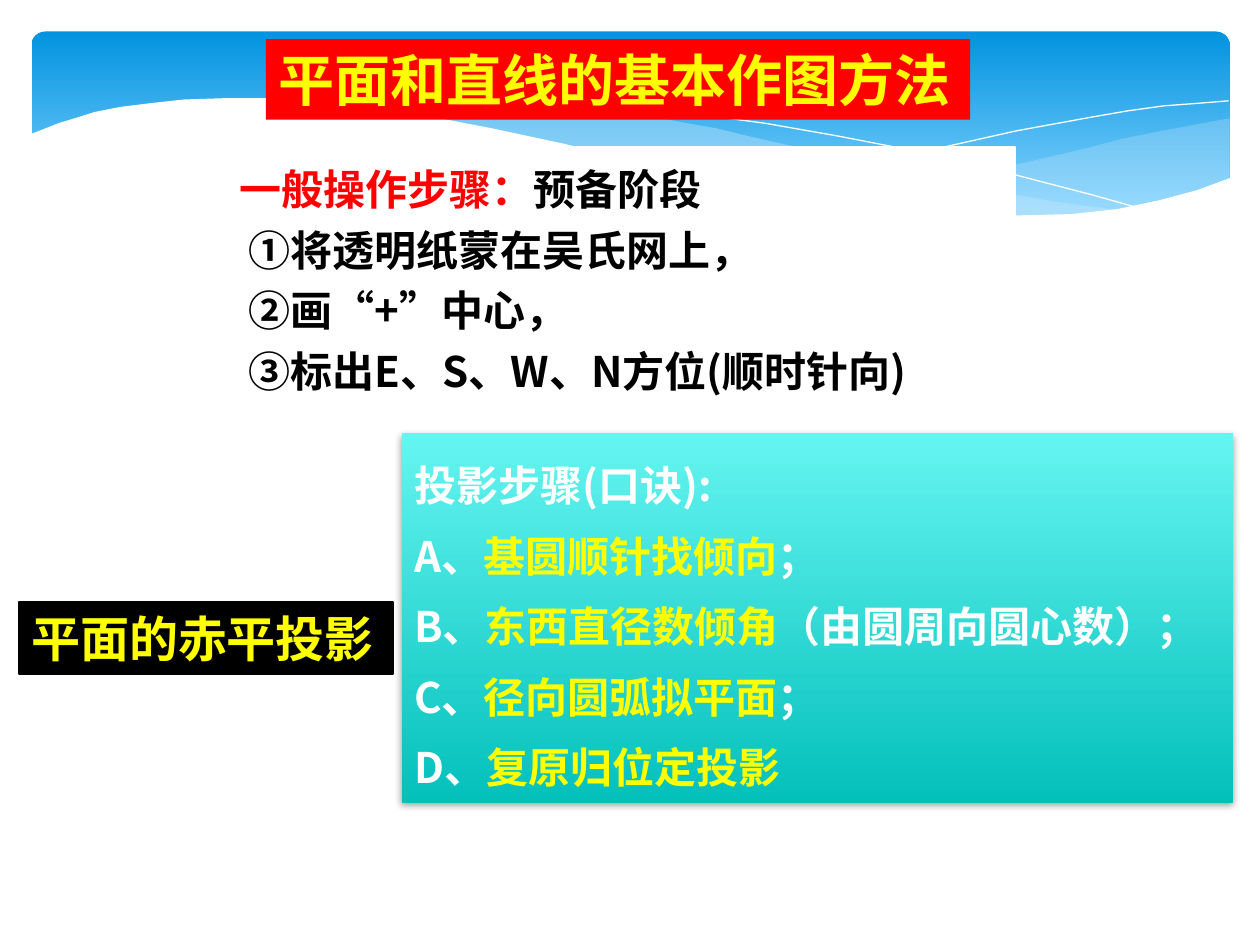
from lxml import etree
from pptx import Presentation
from pptx.dml.color import RGBColor
from pptx.enum.shapes import MSO_SHAPE
from pptx.enum.text import MSO_ANCHOR, PP_ALIGN
from pptx.oxml import parse_xml
from pptx.oxml.ns import nsdecls, qn
from pptx.util import Inches, Pt

RECT = MSO_SHAPE.RECTANGLE
ROUNDED = MSO_SHAPE.ROUNDED_RECTANGLE
FONT = "Noto Sans CJK SC"
WHITE, BLACK, RED, YELLOW = "FFFFFF", "000000", "FF0000", "FFFF00"
PALE_BLUE = "C6E7FC"

RIGHT_WAVE = [
    (9.75, 0.94), (9.48, 0.99), (9.21, 1.04), (8.91, 1.1), (8.61, 1.18),
    (8.05, 1.31), (7.53, 1.43), (7.06, 1.52), (6.61, 1.6), (6.91, 1.64),
    (7.18, 1.67), (7.45, 1.69), (7.81, 1.72), (8.14, 1.72), (8.44, 1.71),
    (8.72, 1.69), (8.97, 1.65), (9.21, 1.6), (9.49, 1.52), (9.76, 1.41),
    (9.76, 0.94)]
MIDDLE_WAVE = [
    (8.93, 1.67), (8.66, 1.64), (8.37, 1.6), (7.75, 1.49), (7.06, 1.34),
    (6.29, 1.16), (5.98, 1.09), (5.69, 1.02), (5.41, 0.97), (5.14, 0.92),
    (4.89, 0.89), (4.41, 0.83), (3.99, 0.8), (3.61, 0.8), (3.28, 0.81),
    (2.86, 0.86), (3.23, 0.9), (3.62, 0.97), (4.04, 1.06), (4.49, 1.16),
    (5.3, 1.35), (5.84, 1.46), (6.34, 1.56), (6.8, 1.63), (7.22, 1.68),
    (7.61, 1.71), (8.07, 1.73), (8.48, 1.72), (8.76, 1.69)]
FALLING_LINE = [
    (3.09, 0.9), (3.28, 0.86), (3.63, 0.83), (4.16, 0.81), (4.69, 0.83),
    (5.1, 0.86), (5.56, 0.91), (6.08, 0.98), (6.65, 1.08), (7.27, 1.2),
    (7.95, 1.36), (8.68, 1.55), (9.07, 1.66)]
RISING_LINE = [
    (6.13, 1.51), (6.52, 1.41), (6.95, 1.3), (7.48, 1.17), (8.06, 1.04),
    (8.66, 0.93), (8.95, 0.88), (9.24, 0.84), (9.51, 0.82), (9.75, 0.8)]
WHITE_WAVE = [
    (9.77, 1.41), (9.5, 1.51), (9.2, 1.59), (8.87, 1.66), (8.5, 1.7),
    (8.09, 1.71), (7.61, 1.7), (7.08, 1.65), (6.47, 1.56), (5.79, 1.44),
    (5.03, 1.28), (4.47, 1.14), (3.91, 1.02), (3.39, 0.92), (2.92, 0.85),
    (2.5, 0.81), (2.11, 0.78), (1.77, 0.78), (1.46, 0.79), (1.19, 0.82),
    (0.95, 0.85), (0.75, 0.89), (0.59, 0.94), (0.46, 0.98), (0.36, 1.02),
    (0.23, 1.07), (0.23, 2.24), (9.77, 2.24)]

PREPARATION_LINES = [
    [("一般操作步骤：", RED), ("预备阶段", BLACK)],
    [(" ①将透明纸蒙在吴氏网上，", BLACK)],
    [(" ②画“+”中心，", BLACK)],
    [(" ③标出E、S、W、N方位(顺时针向)", BLACK)]]
PROJECTION_LINES = [
    [("投影步骤(口诀):", WHITE)],
    [("A、", WHITE), ("基圆顺针找倾向", YELLOW), ("；", WHITE)],
    [("B、", WHITE), ("东西直径数倾角", YELLOW), ("（由圆周向圆心数）；", WHITE)],
    [("C、", WHITE), ("径向圆弧拟平面", YELLOW), ("；", WHITE)],
    [("D、", WHITE), ("复原归位定投影", YELLOW)]]


def rgb(color):
    return RGBColor.from_string(color)


def fill_solid(shape, color, opacity=100):
    shape.fill.solid()
    shape.fill.fore_color.rgb = rgb(color)
    if opacity < 100:
        color_node = shape.element.spPr.find(".//" + qn("a:srgbClr"))
        etree.SubElement(color_node, qn("a:alpha")).set("val", str(opacity * 1000))


def fill_downward(shape, top_color, bottom_color, end=1):
    shape.fill.gradient()
    shape.fill.gradient_angle = 270
    stops = zip(shape.fill.gradient_stops, (top_color, bottom_color), (0, end))
    for stop, color, position in stops:
        stop.color.rgb = rgb(color)
        stop.position = position


def set_outline(shape, color=None, width=0):
    if color is None:
        shape.line.fill.background()
    else:
        shape.line.color.rgb = rgb(color)
        shape.line.width = Pt(width)


def add_box(slide, box, kind=RECT):
    shape = slide.shapes.add_shape(kind, *map(Inches, box))
    shape.shadow.inherit = False
    set_outline(shape)
    return shape


def add_curve(slide, points, closed=True):
    """Draw a fine polyline; the builder needs whole units, here 1/100 inch."""
    start, *rest = [(round(x * 100), round(y * 100)) for x, y in points]
    builder = slide.shapes.build_freeform(*start, scale=Inches(0.01))
    builder.add_line_segments(rest, close=closed)
    shape = builder.convert_to_shape()
    shape.shadow.inherit = False
    set_outline(shape)
    return shape


def add_soft_shadow(shape):
    effects = shape.element.spPr.find(qn("a:effectLst"))
    effects.append(parse_xml(
        f'<a:outerShdw {nsdecls("a")} blurRad="50800" dist="25400" dir="5400000" '
        'rotWithShape="0"><a:srgbClr val="000000"><a:alpha val="38000"/>'
        '</a:srgbClr></a:outerShdw>'))


def write_lines(shape, lines, size, spacing=1.0, wrap=True):
    """Write lines of (text, colour) pieces as one paragraph with line breaks."""
    frame = shape.text_frame
    frame.word_wrap = wrap
    frame.vertical_anchor = MSO_ANCHOR.TOP
    paragraph = frame.paragraphs[0]
    paragraph.alignment = PP_ALIGN.LEFT
    paragraph.line_spacing = spacing
    paragraph.font.size = Pt(size)
    paragraph.font.bold = True
    paragraph.font.name = FONT
    for number, pieces in enumerate(lines):
        if number:
            paragraph.add_line_break()
        for text, color in pieces:
            run = paragraph.add_run()
            run.text = text
            run.font.color.rgb = rgb(color)
            east_asian = etree.SubElement(run.font._element, qn("a:ea"))
            east_asian.set("typeface", FONT)


def add_banner(slide):
    sky = add_box(slide, (0.25, 0.25, 9.51, 1.56), ROUNDED)
    sky.adjustments[0] = 0.07
    fill_downward(sky, "0293E0", "83D3FE", 0.9)
    for points, opacity in ((RIGHT_WAVE, 29), (MIDDLE_WAVE, 40)):
        fill_solid(add_curve(slide, points), PALE_BLUE, opacity)
    for points in (FALLING_LINE, RISING_LINE):
        streak = add_curve(slide, points, closed=False)
        streak.fill.background()
        set_outline(streak, WHITE)
    fill_solid(add_curve(slide, WHITE_WAVE), WHITE)


def add_title(slide):
    title = slide.shapes.title
    title.left, title.top, title.width, title.height = map(
        Inches, (2.11, 0.31, 5.59, 0.64))
    fill_solid(title, RED)
    write_lines(title, [[("平面和直线的基本作图方法", YELLOW)]], 32, wrap=False)
    slide.shapes.element.append(title.element)  # in front of the banner


def add_topic_label(slide):
    label = add_box(slide, (0.15, 4.78, 2.97, 0.57))
    fill_solid(label, BLACK)
    set_outline(label, BLACK, 1.25)
    write_lines(label, [[("平面的赤平投影", YELLOW)]], 28)


def add_projection_panel(slide):
    panel = add_box(slide, (3.19, 3.44, 6.6, 2.93))
    fill_downward(panel, "65F5F1", "04C0BB")
    add_soft_shadow(panel)
    write_lines(panel, PROJECTION_LINES, 24, 1.4)


def add_preparation_panel(slide):
    panel = add_box(slide, (1.8, 1.17, 6.25, 2))
    fill_solid(panel, WHITE)
    set_outline(panel, WHITE, 2)
    write_lines(panel, PREPARATION_LINES, 24, 1.2)


def main():
    presentation = Presentation()
    presentation.slide_width, presentation.slide_height = Inches(10), Inches(7.5)
    slide = presentation.slides.add_slide(presentation.slide_layouts[5])
    add_banner(slide)
    add_title(slide)
    add_topic_label(slide)
    add_projection_panel(slide)
    add_preparation_panel(slide)
    presentation.save("out.pptx")


if __name__ == "__main__":
    main()
